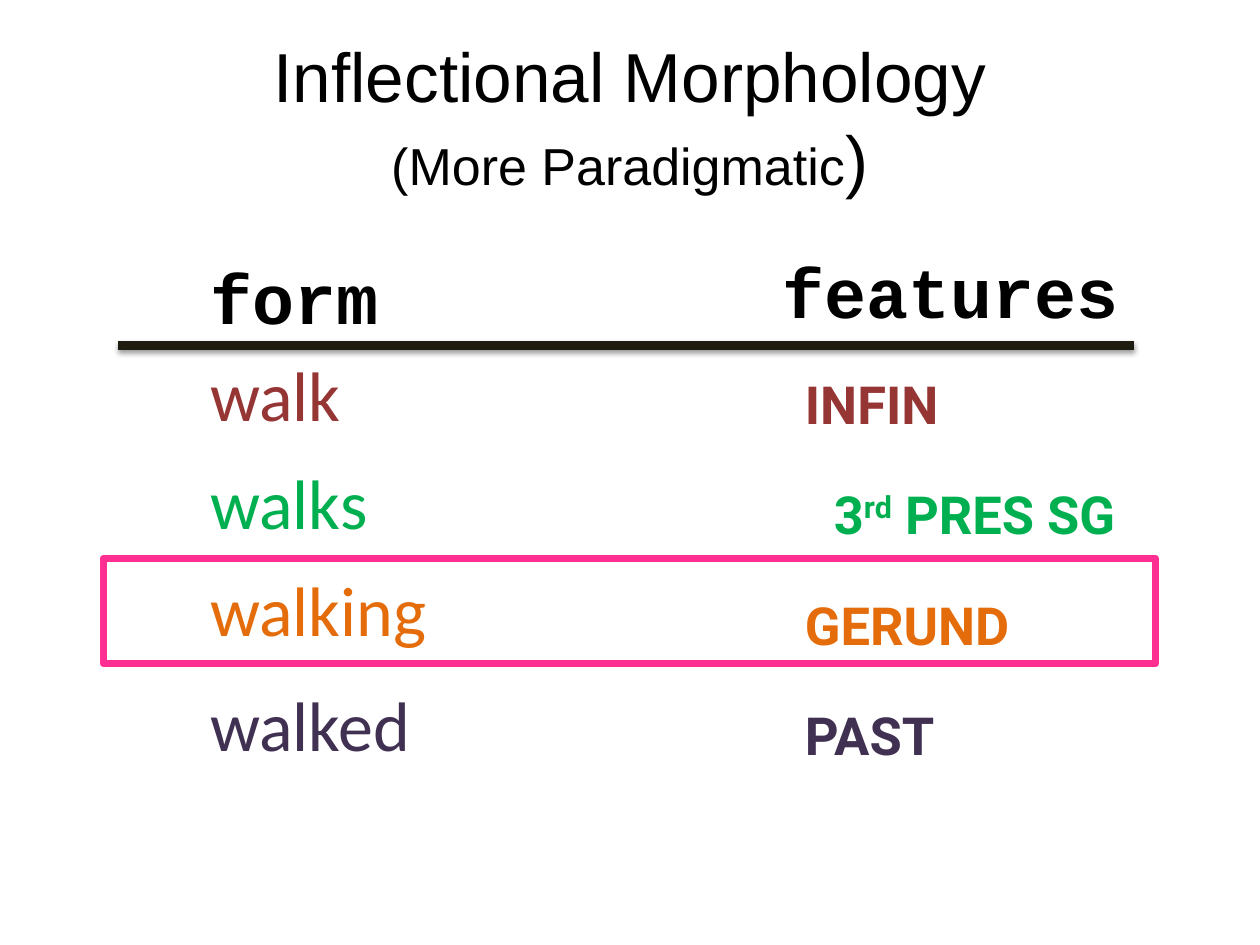
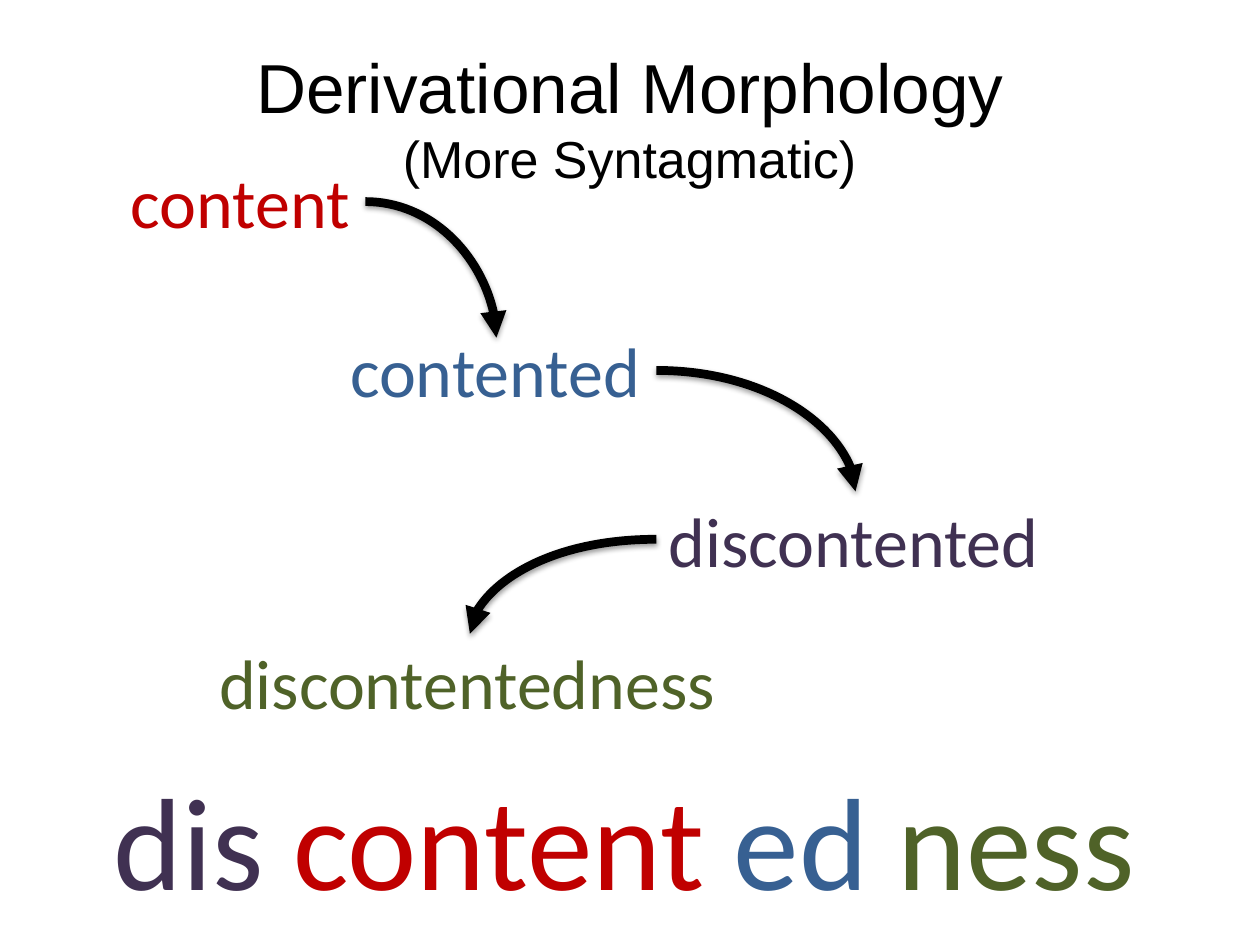
import pptx
import pptx.dml.color
import pptx.enum.dml
import pptx.enum.shapes
import pptx.enum.text
import pptx.oxml
import pptx.oxml.ns
import pptx.util

RGBColor = pptx.dml.color.RGBColor
Align = pptx.enum.text.PP_ALIGN
Anchor = pptx.enum.text.MSO_ANCHOR
Connector = pptx.enum.shapes.MSO_CONNECTOR

BLACK = RGBColor(0x00, 0x00, 0x00)
WHITE = RGBColor(0xFF, 0xFF, 0xFF)
INK = RGBColor(0x1E, 0x1C, 0x11)
BRICK = RGBColor(0x95, 0x36, 0x34)
GREEN = RGBColor(0x00, 0xB0, 0x50)
ORANGE = RGBColor(0xE4, 0x6C, 0x0A)
PURPLE = RGBColor(0x40, 0x31, 0x52)
RED = RGBColor(0xC0, 0x00, 0x00)
BLUE = RGBColor(0x37, 0x60, 0x92)
OLIVE = RGBColor(0x4F, 0x62, 0x28)
PINK = RGBColor(0xFF, 0x2F, 0x92)

TITLE_SIZE, SUBTITLE_SIZE = 39.6, 29.7
COLUMNS, ROWS = 100, 75
SHADOW = (
    f'<a:effectLst {pptx.oxml.ns.nsdecls("a")}>'
    '<a:outerShdw blurRad="40000" dist="20000" dir="5400000" rotWithShape="0">'
    '<a:srgbClr val="000000"><a:alpha val="38000"/></a:srgbClr>'
    '</a:outerShdw></a:effectLst>'
)


class Deck:
    """Draw styled elements on the current slide, on a grid of 100 columns by 75 rows."""

    def __init__(self):
        self.presentation = pptx.Presentation()
        self.presentation.slide_width = pptx.util.Inches(10)
        self.presentation.slide_height = pptx.util.Inches(7.5)
        self.slide = None

    def grid(self, *lengths):
        column = self.presentation.slide_width / COLUMNS
        row = self.presentation.slide_height / ROWS
        return [round(length * (row if i % 2 else column)) for i, length in enumerate(lengths)]

    def new_slide(self, heading, *subheading):
        self.slide = self.presentation.slides.add_slide(self.presentation.slide_layouts[6])
        title = self.slide.shapes.add_textbox(*self.grid(5, 3, 90, 12.5))
        title.text_frame.word_wrap = True
        title.text_frame.vertical_anchor = Anchor.MIDDLE
        paragraph = title.text_frame.paragraphs[0]
        paragraph.alignment = Align.CENTER
        self.add_run(paragraph, heading, "Arial", TITLE_SIZE, BLACK)
        paragraph.add_line_break()
        for words, size in subheading:
            self.add_run(paragraph, words, "Arial", size, BLACK)

    def add_run(self, paragraph, words, font, size, colour, bold=False):
        run = paragraph.add_run()
        run.text = words
        run.font.name = font
        run.font.size = pptx.util.Pt(size)
        run.font.color.rgb = colour
        run.font.bold = bold
        return run

    def label(self, place, words, colour, font="Calibri", size=40, bold=False, wrap=False):
        box = self.slide.shapes.add_textbox(*self.grid(*place))
        box.text_frame.word_wrap = wrap
        box.text_frame.auto_size = pptx.enum.text.MSO_AUTO_SIZE.SHAPE_TO_FIT_TEXT
        paragraph = box.text_frame.paragraphs[0]
        return paragraph, self.add_run(paragraph, words, font, size, colour, bold)

    def feature(self, left, top, words, colour):
        return self.label((left, top, 32.1, 6.1), words, colour, "Roboto", 30, True, True)

    def frame(self, place, fill=None, outline=None):
        box = self.slide.shapes.add_shape(
            pptx.enum.shapes.MSO_SHAPE.RECTANGLE, *self.grid(*place))
        box.shadow.inherit = False
        if fill is None:
            box.fill.background()
        else:
            box.fill.solid()
            box.fill.fore_color.rgb = fill
        if outline is None:
            box.line.fill.background()
        else:
            box.line.color.rgb = outline
            box.line.width = pptx.util.Pt(4)
        return box

    def morphemes(self, place, parts):
        word = self.frame(place, fill=WHITE).text_frame
        word.word_wrap = False
        word.auto_size = pptx.enum.text.MSO_AUTO_SIZE.SHAPE_TO_FIT_TEXT
        word.vertical_anchor = Anchor.TOP
        paragraph = word.paragraphs[0]
        paragraph.alignment = Align.LEFT
        for part, colour in parts:
            self.add_run(paragraph, part, "Calibri", 75, colour)

    def rule(self, ends, colour, kind=Connector.STRAIGHT):
        line = self.slide.shapes.add_connector(kind, *self.grid(*ends))
        line.line.color.rgb = colour
        line.line.width = pptx.util.Pt(5)
        line._element.spPr.append(pptx.oxml.parse_xml(SHADOW))
        return line

    def arc(self, ends):
        properties = self.rule(ends, BLACK, Connector.CURVE)._element.spPr
        properties.find(pptx.oxml.ns.qn("a:prstGeom")).set("prst", "curvedConnector2")
        properties.find(pptx.oxml.ns.qn("a:ln")).append(pptx.oxml.parse_xml(
            f'<a:tailEnd {pptx.oxml.ns.nsdecls("a")} type="triangle"/>'))


def inflection(deck):
    deck.new_slide("Inflectional Morphology",
                   ("(More Paradigmatic", SUBTITLE_SIZE), (")", TITLE_SIZE))
    forms = [("walk", 27.4, 12.5, BRICK), ("walks", 36, 14.6, GREEN),
             ("walking", 44.5, 19.3, ORANGE), ("walked", 53.6, 18, PURPLE)]
    for form, top, width, colour in forms:
        deck.label((15.7, top, width, 7.7), form, colour)

    feature_top, feature_pitch = 29, 8.77
    features = [("INFIN", BRICK), None, ("GERUND", ORANGE), ("PAST", PURPLE)]
    for row, feature in enumerate(features):
        top = feature_top + row * feature_pitch
        if feature:
            deck.feature(62.9, top, *feature)
        else:
            paragraph, third = deck.feature(61.3, top, "3", GREEN)
            paragraph.alignment = Align.CENTER
            ordinal = deck.add_run(paragraph, "rd", "Roboto", 30, GREEN, True)
            ordinal._r.get_or_add_rPr().set("baseline", "30000")
            deck.add_run(paragraph, " PRES SG", "Roboto", 30, GREEN, True)

    for header, left, top, width in [("form", 15.7, 19.7, 15.5), ("features", 61.1, 19.2, 28.9)]:
        deck.label((left, top, width, 7.7), header, BLACK, "Courier New", bold=True)
    deck.rule((9.4, 27.4, 90, 27.4), INK)
    deck.frame((8.2, 44.3, 83.5, 8.4), outline=PINK)


def derivation(deck):
    deck.new_slide("Derivational Morphology", ("(More Syntagmatic)", SUBTITLE_SIZE))
    steps = [("content", 9.4, 12.1, 19.6, RED), ("contented", 26.8, 25.5, 25.3, BLUE),
             ("discontented", 52.1, 39, 31.7, PURPLE),
             ("discontentedness", 16.4, 50.3, 41.8, OLIVE)]
    for word, left, top, width, colour in steps:
        deck.label((left, top, width, 7.7), word, colour)
    for ends in [(29, 16, 39.4, 26.8), (52.1, 29.4, 67.9, 39), (52.1, 42.8, 37.3, 50.3)]:
        deck.arc(ends)
    deck.morphemes((8, 59.8, 83.9, 13.6), [
        ("dis ", PURPLE), ("content ", RED), ("ed ", BLUE), ("ness", OLIVE)])


def main():
    deck = Deck()
    inflection(deck)
    derivation(deck)
    deck.presentation.save("out.pptx")


if __name__ == "__main__":
    main()
